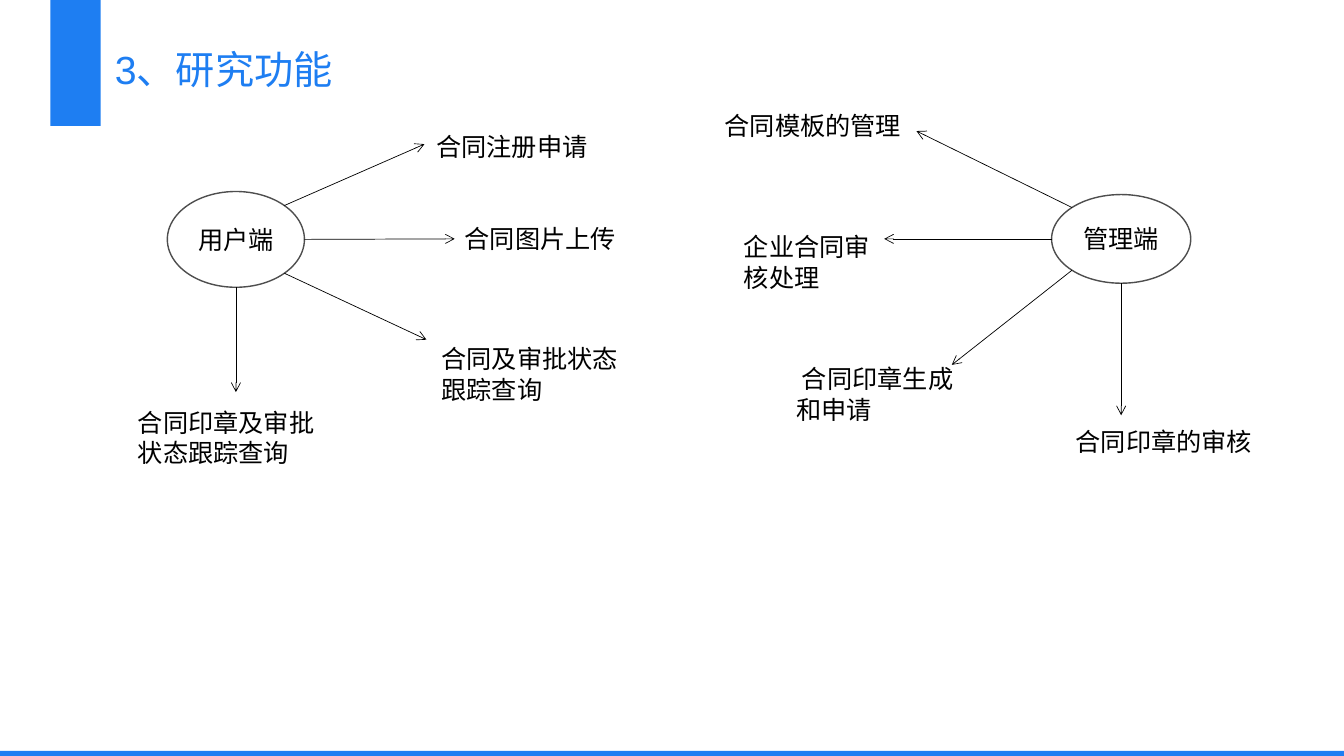
"""Builds the slide on the research functions of the user and admin sides."""
from math import cos, radians, sin

from lxml import etree
from pptx import Presentation
from pptx.dml.color import RGBColor
from pptx.enum.shapes import MSO_CONNECTOR, MSO_SHAPE
from pptx.enum.text import MSO_ANCHOR, MSO_AUTO_SIZE, PP_ALIGN
from pptx.oxml.ns import qn
from pptx.util import Inches, Pt

RECTANGLE, OVAL = MSO_SHAPE.RECTANGLE, MSO_SHAPE.OVAL
STRAIGHT = MSO_CONNECTOR.STRAIGHT
TOP, MIDDLE = MSO_ANCHOR.TOP, MSO_ANCHOR.MIDDLE
LEFT, CENTER = PP_ALIGN.LEFT, PP_ALIGN.CENTER
FIT_SHAPE, NO_FIT = MSO_AUTO_SIZE.SHAPE_TO_FIT_TEXT, MSO_AUTO_SIZE.NONE

BLUE = RGBColor(0x1E, 0x7E, 0xF2)
GRAY = RGBColor(0x4E, 0x4E, 0x4E)
BLACK = RGBColor(0, 0, 0)
WHITE = RGBColor(255, 255, 255)


class FunctionSlide:
    """Holds the style and the current slide."""

    font_name = "Arial"
    title_size = Pt(28)
    text_size = Pt(18)

    def __init__(self, presentation):
        self.slide = presentation.slides.add_slide(presentation.slide_layouts[5])
        self.shapes = self.slide.shapes

    def set_text(self, frame, text, size, color, align):
        frame.text = text
        for paragraph in frame.paragraphs:
            paragraph.alignment = align
            paragraph.font.name = self.font_name
            paragraph.font.size = size
            paragraph.font.color.rgb = color

    def title(self, text, *box):
        heading = self.shapes.title
        heading.left, heading.top, heading.width, heading.height = map(Inches, box)
        frame = heading.text_frame
        frame.auto_size, frame.vertical_anchor = NO_FIT, TOP
        self.set_text(frame, text, self.title_size, BLUE, LEFT)
        frame.paragraphs[0].line_spacing = 1.3

    def filled(self, preset, color, box):
        shape = self.shapes.add_shape(preset, *map(Inches, box))
        shape.shadow.inherit = False
        shape.fill.solid()
        shape.fill.fore_color.rgb = color
        return shape

    def bar(self, *box):
        self.filled(RECTANGLE, BLUE, box).line.fill.background()

    def role(self, text, box):
        ellipse = self.filled(OVAL, WHITE, box)
        ellipse.line.color.rgb = GRAY
        ellipse.line.width = Pt(1)
        ellipse.text_frame.vertical_anchor = MIDDLE
        self.set_text(ellipse.text_frame, text, self.text_size, BLACK, CENTER)

    def arrow(self, start, end):
        connector = self.shapes.add_connector(STRAIGHT, *map(Inches, start + end))
        connector.line.color.rgb = BLACK
        connector.line.width = Pt(0.5)
        properties = connector._element.spPr
        etree.SubElement(properties.find(qn("a:ln")), qn("a:tailEnd"), type="arrow")
        etree.SubElement(properties, qn("a:effectLst"))

    def label(self, text, box):
        frame = self.shapes.add_textbox(*map(Inches, box)).text_frame
        frame.word_wrap = True
        frame.auto_size = FIT_SHAPE
        self.set_text(frame, text, self.text_size, BLACK, LEFT)

    def role_map(self, name, box, functions):
        left, top, width, height = box
        self.role(name, box)
        for text, angle, tip, label_box in functions:
            turn = radians(angle)
            start = (left + width / 2 * (1 + cos(turn)),
                     top + height / 2 * (1 + sin(turn)))
            self.arrow(start, tip)
            self.label(text, label_box)


USER_FUNCTIONS = [
    ("合同注册申请", -45, (4.21, 1.43), (4.23, 1.25, 1.97, 0.4)),
    ("合同图片上传", 0, (4.51, 2.37), (4.51, 2.17, 1.83, 0.4)),
    ("合同及审批状态\n跟踪查询", 45, (4.23, 3.37), (4.28, 3.36, 2.06, 0.71)),
    ("合同印章及审批状态跟踪查询", 90, (2.34, 3.89), (1.27, 3.99, 2.14, 0.71)),
]
ADMIN_FUNCTIONS = [
    ("合同模板的管理", 225, (9.09, 1.3), (7.09, 1.05, 2, 0.4)),
    ("企业合同审核处理", 180, (8.77, 2.37), (7.28, 2.25, 1.45, 0.71)),
    ("\u00a0合同印章生成和申请", 135, (9.44, 3.62), (7.8, 3.56, 1.86, 0.71)),
    ("合同印章的审核", 90, (11.12, 4.12), (10.57, 4.18, 1.96, 0.4)),
]

presentation = Presentation()
presentation.slide_width = Inches(13.33)
presentation.slide_height = Inches(7.5)

page = FunctionSlide(presentation)
page.bar(0, 7.45, 13.33, 0.05)
page.title("3、研究功能", 1.04, 0.26, 4.02, 0.88)
page.bar(0.5, 0, 0.5, 1.25)
page.role_map("用户端", (1.66, 1.9, 1.36, 0.95), USER_FUNCTIONS)
page.role_map("管理端", (10.43, 1.93, 1.38, 0.88), ADMIN_FUNCTIONS)

presentation.save("out.pptx")
